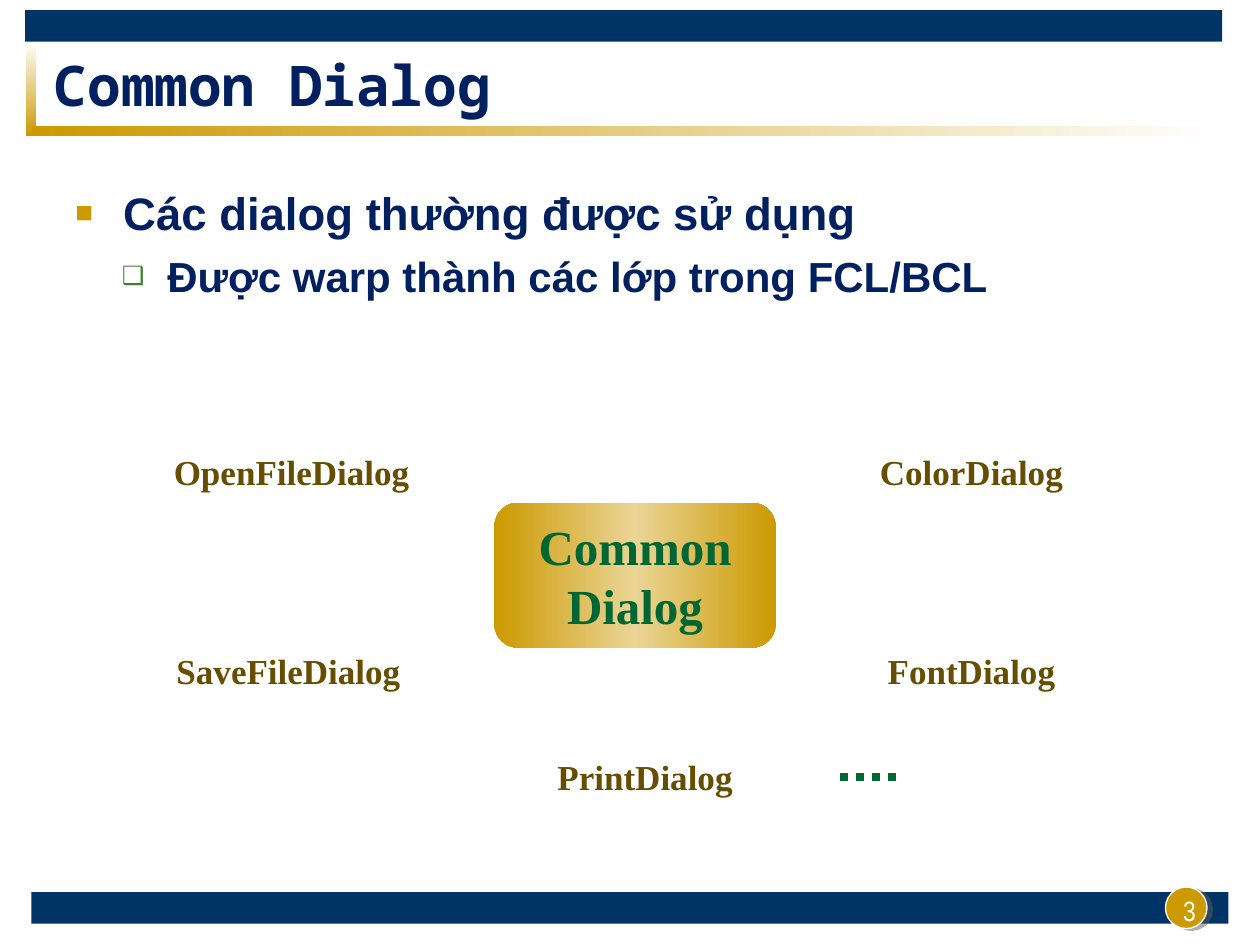
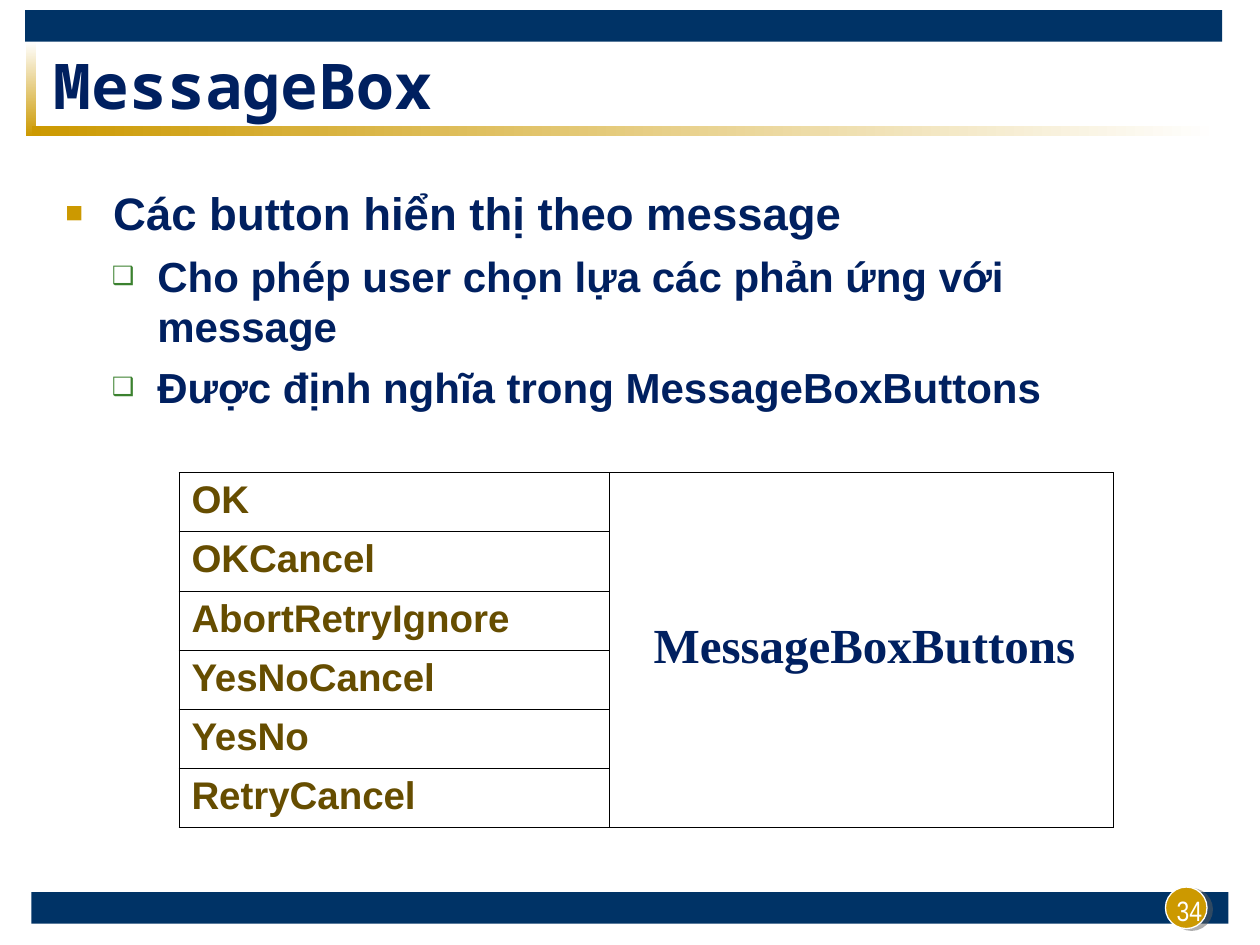
from dataclasses import dataclass
from typing import Optional

from lxml.etree import SubElement
from pptx import Presentation
from pptx.dml.color import RGBColor
from pptx.enum.dml import MSO_LINE
from pptx.enum.shapes import MSO_CONNECTOR, MSO_SHAPE
from pptx.enum.text import MSO_ANCHOR, MSO_AUTO_SIZE, PP_ALIGN
from pptx.oxml.ns import qn
from pptx.util import Inches, Pt

NAVY, BAND, GOLD, PALE_GOLD = "002060", "003366", "CC9900", "EAD596"
BROWN, GREEN, BULLET_GREEN = "664D00", "006633", "3B812F"
WHITE, BLACK, SHADOW_GRAY = "FFFFFF", "000000", "5F5F5F"
SANS, NARROW, MONO, SERIF = "Arial", "Arial Narrow", "Noto Sans Mono", "Times New Roman"


@dataclass
class Box:
    left: float
    top: float
    width: float
    height: float

    def lengths(self) -> tuple:
        return tuple(Inches(n) for n in (self.left, self.top, self.width, self.height))


@dataclass
class TextStyle:
    font: str
    size: float
    color: str
    bold: bool = True
    align: PP_ALIGN = PP_ALIGN.LEFT
    before: float = 0


@dataclass
class Level:
    style: TextStyle
    margin: float
    hanging: float
    bullet: str
    bullet_color: str
    bullet_percent: int


@dataclass
class Gradient:
    colors: tuple
    angle: int = 0


@dataclass
class Band:
    box: Box
    fill: "str | Gradient"


@dataclass
class Label:
    text: str
    box: Box
    wrap: bool = True


BANDS = [
    Band(Box(0.25, 7.08, 9.5, 0.25), BAND),
    Band(Box(0.2, 0.08, 9.5, 0.25), BAND),
    Band(Box(0.21, 0.33, 0.08, 0.75), Gradient((WHITE, GOLD), 90)),
    Band(Box(0.25, 1, 9.42, 0.08), Gradient((GOLD, WHITE))),
]
LEVELS = [
    Level(TextStyle(SANS, 26, NAVY, before=6.5), 0.38, 0.38, "■", GOLD, 65),
    Level(TextStyle(SANS, 24, NAVY, before=6), 0.73, 0.36, "❑", BULLET_GREEN, 60),
]
NUMBER_STYLE = TextStyle(NARROW, 16, WHITE, False, PP_ALIGN.CENTER)
HUB_STYLE = TextStyle(SERIF, 28, GREEN, align=PP_ALIGN.CENTER)
LABEL_STYLE = TextStyle(SERIF, 20, BROWN, align=PP_ALIGN.CENTER)
CELL_STYLE = TextStyle(SANS, 22, BROWN, before=5.5)
ENUM_STYLE = TextStyle(SERIF, 28, NAVY)

DIALOG_LABELS = [
    Label("OpenFileDialog", Box(1.26, 3.5, 2.11, 0.48), False),
    Label("SaveFileDialog", Box(1.25, 5.08, 2.08, 0.48)),
    Label("ColorDialog", Box(6.67, 3.5, 2.08, 0.48)),
    Label("FontDialog", Box(6.67, 5.08, 2.08, 0.48)),
    Label("PrintDialog", Box(4.08, 5.92, 2.08, 0.48)),
]
BUTTON_SETS = ["OK", "OKCancel", "AbortRetryIgnore", "YesNoCancel", "YesNo", "RetryCancel"]


def rgb(color: str) -> RGBColor:
    return RGBColor.from_string(color)


def add_node(parent, tag: str, **attributes):
    return SubElement(parent, qn(tag), {name: str(value) for name, value in attributes.items()})


def write(paragraph, text: str, style: TextStyle) -> None:
    paragraph.text = text
    paragraph.alignment = style.align
    paragraph.space_before = Pt(style.before)
    paragraph.font.name = style.font
    paragraph.font.size = Pt(style.size)
    paragraph.font.bold = style.bold
    paragraph.font.color.rgb = rgb(style.color)


def add_filled(slide, kind, box: Box, fill: "str | Gradient", outline: Optional[str] = None):
    shape = slide.shapes.add_shape(kind, *box.lengths())
    if isinstance(fill, Gradient):
        gradient = add_node(shape.element.spPr, "a:gradFill", rotWithShape=1)
        stops = add_node(gradient, "a:gsLst")
        for index, color in enumerate(fill.colors):
            position = 100000 * index // (len(fill.colors) - 1)
            add_node(add_node(stops, "a:gs", pos=position), "a:srgbClr", val=color)
        add_node(gradient, "a:lin", ang=fill.angle * 60000, scaled=0)
    else:
        shape.fill.solid()
        shape.fill.fore_color.rgb = rgb(fill)
    if outline:
        shape.line.color.rgb = rgb(outline)
        shape.line.width = Pt(0.75)
    else:
        shape.line.fill.background()
    shape.shadow.inherit = False
    return shape


def add_text(slide, box: Box, text: str, style: TextStyle, anchor=MSO_ANCHOR.TOP, wrap: bool = True) -> None:
    frame = slide.shapes.add_textbox(*box.lengths()).text_frame
    frame.word_wrap = wrap
    if not wrap:
        frame.auto_size = MSO_AUTO_SIZE.SHAPE_TO_FIT_TEXT
    frame.vertical_anchor = anchor
    write(frame.paragraphs[0], text, style)


def add_rounded(slide, label: Label, fill: "str | Gradient", style: TextStyle) -> None:
    shape = add_filled(slide, MSO_SHAPE.ROUNDED_RECTANGLE, label.box, fill)
    frame = shape.text_frame
    frame.word_wrap = label.wrap
    frame.vertical_anchor = MSO_ANCHOR.MIDDLE
    write(frame.paragraphs[0], label.text, style)


def add_body(slide, box: Box, items: list) -> None:
    frame = slide.shapes.add_textbox(*box.lengths()).text_frame
    frame.word_wrap = True
    for index, (depth, text) in enumerate(items):
        level = LEVELS[depth]
        paragraph = frame.add_paragraph() if index else frame.paragraphs[0]
        write(paragraph, text, level.style)
        paragraph.level = depth
        properties = paragraph._p.get_or_add_pPr()
        properties.set("marL", str(Inches(level.margin)))
        properties.set("indent", str(-Inches(level.hanging)))
        default_run = properties.find(qn("a:defRPr"))
        bullet_color = add_node(properties, "a:buClr")
        add_node(bullet_color, "a:srgbClr", val=level.bullet_color)
        add_node(properties, "a:buSzPct", val=level.bullet_percent * 1000)
        add_node(properties, "a:buFont", typeface=SANS)
        add_node(properties, "a:buChar", char=level.bullet)
        properties.append(default_run)


def add_page(presentation, title: str, title_size: float, number: int):
    slide = presentation.slides.add_slide(presentation.slide_layouts[6])
    for band in BANDS:
        add_filled(slide, MSO_SHAPE.RECTANGLE, band.box, band.fill)
    badge = add_filled(slide, MSO_SHAPE.OVAL, Box(9.25, 7.04, 0.33, 0.33), GOLD, WHITE)
    effects = badge.element.spPr.find(qn("a:effectLst"))
    shadow = add_node(effects, "a:outerShdw", dist=Pt(3.2), dir=18 * 60000, algn="ctr", rotWithShape=0)
    add_node(add_node(shadow, "a:srgbClr", val=SHADOW_GRAY), "a:alpha", val=50000)
    add_text(slide, Box(9.21, 6.92, 0.46, 0.49), str(number), NUMBER_STYLE, MSO_ANCHOR.BOTTOM)
    title_style = TextStyle(MONO, title_size, NAVY)
    add_text(slide, Box(0.33, 0.42, 9.67, 0.5), title, title_style, MSO_ANCHOR.MIDDLE)
    return slide


def add_button_table(slide, box: Box) -> None:
    frame = slide.shapes.add_table(len(BUTTON_SETS), 2, *box.lengths())
    table = frame.table
    table.first_row = table.horz_banding = False
    for column, width in zip(table.columns, (3.42, 4)):
        column.width = Inches(width)
    for row, name in enumerate(BUTTON_SETS):
        write(table.cell(row, 0).text_frame.paragraphs[0], name, CELL_STYLE)
    for cell in table.iter_cells():
        properties = cell._tc.get_or_add_tcPr()
        for side in ("a:lnL", "a:lnR", "a:lnT", "a:lnB"):
            border = add_node(properties, side, w=Pt(0.45))
            add_node(add_node(border, "a:solidFill"), "a:srgbClr", val=BLACK)
        cell.fill.background()
    table.cell(0, 1).merge(table.cell(len(BUTTON_SETS) - 1, 1))


def build_common_dialog(presentation) -> None:
    slide = add_page(presentation, "Common Dialog", 32, 3)
    add_body(slide, Box(0.5, 1.42, 9, 5.33), [
        (0, "Các dialog thường được sử dụng"),
        (1, "Được warp thành các lớp trong FCL/BCL"),
    ])
    hub = Label("Common Dialog", Box(3.92, 3.99, 2.24, 1.15))
    add_rounded(slide, hub, Gradient((GOLD, PALE_GOLD, GOLD)), HUB_STYLE)
    for label in DIALOG_LABELS:
        add_rounded(slide, label, WHITE, LABEL_STYLE)
    dots = slide.shapes.add_connector(
        MSO_CONNECTOR.STRAIGHT, Inches(6.67), Inches(6.17), Inches(7.17), Inches(6.17))
    dots.line.color.rgb = rgb(GREEN)
    dots.line.width = Pt(4.5)
    dots.line.dash_style = MSO_LINE.ROUND_DOT
    add_node(dots.element.spPr, "a:effectLst")


def build_message_box(presentation) -> None:
    slide = add_page(presentation, "MessageBox", 36, 34)
    add_body(slide, Box(0.42, 1.42, 9.08, 5.33), [
        (0, "Các button hiển thị theo message"),
        (1, "Cho phép user chọn lựa các phản ứng với message"),
        (1, "Được định nghĩa trong MessageBoxButtons"),
    ])
    add_button_table(slide, Box(1.42, 3.75, 7.42, 2.82))
    add_text(slide, Box(5.09, 4.83, 3.56, 0.57), "MessageBoxButtons", ENUM_STYLE, wrap=False)


def main() -> None:
    presentation = Presentation()
    presentation.slide_width = Inches(10)
    presentation.slide_height = Inches(7.5)
    build_common_dialog(presentation)
    build_message_box(presentation)
    presentation.save("out.pptx")


if __name__ == "__main__":
    main()
